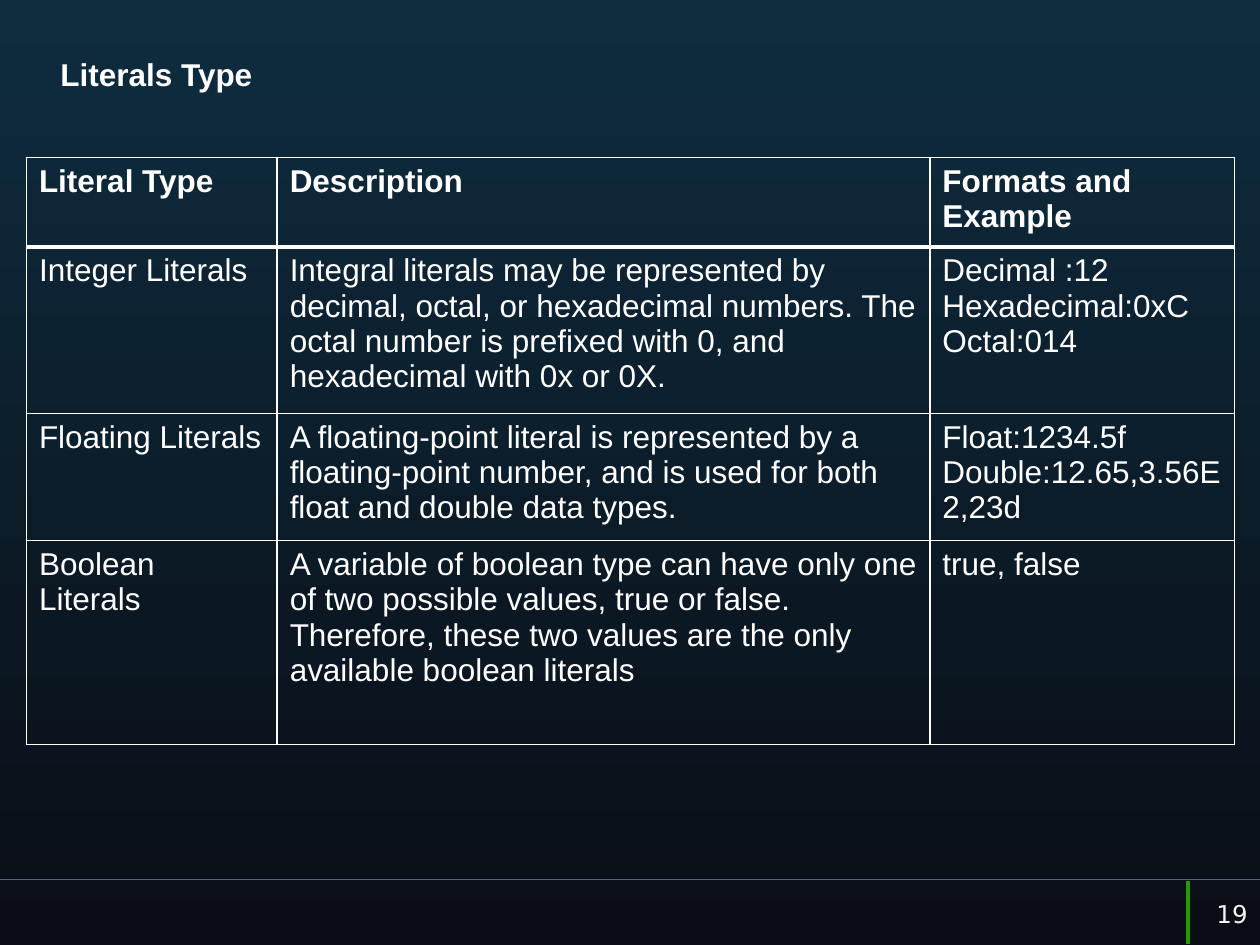
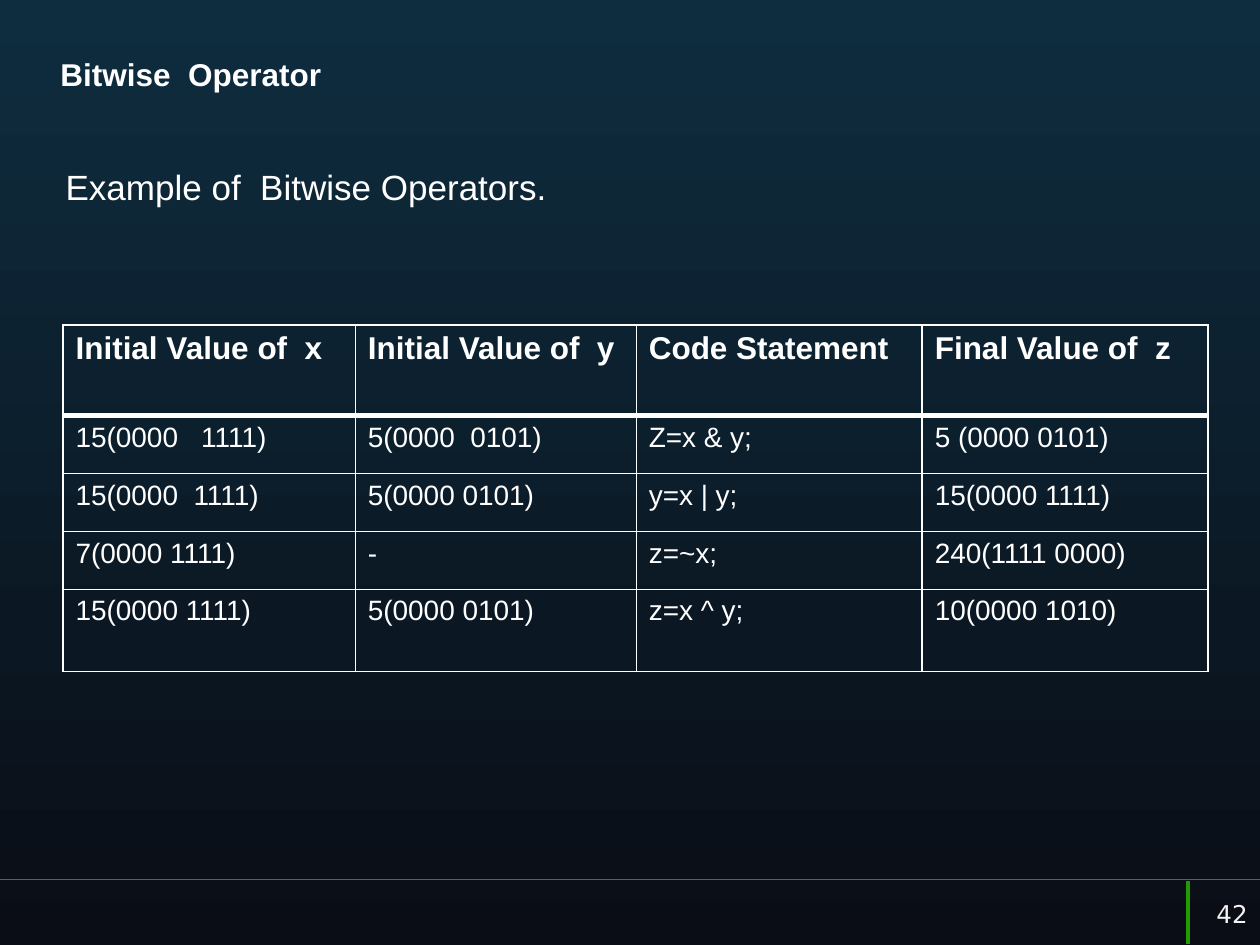
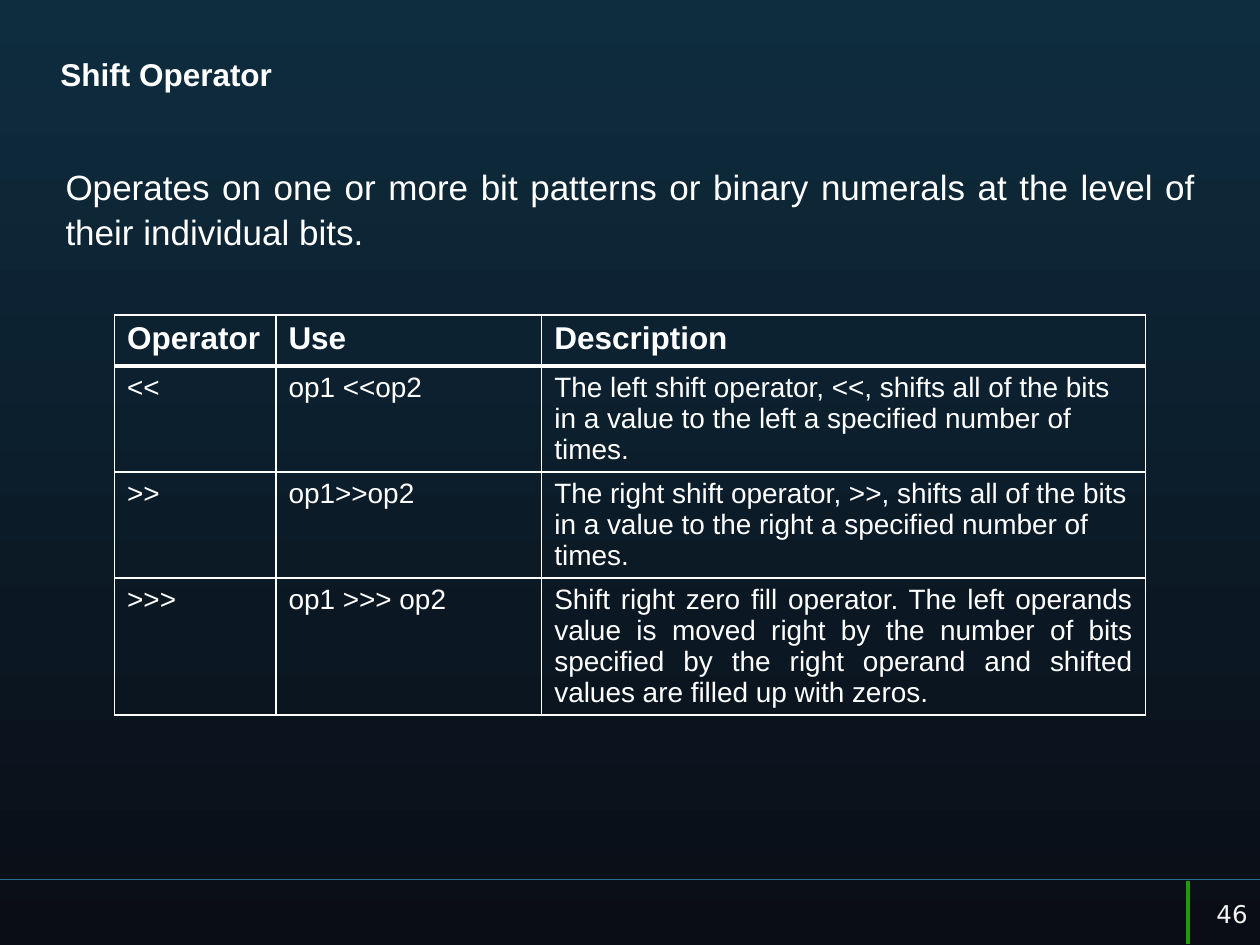
from dataclasses import dataclass

from lxml import etree
from pptx import Presentation
from pptx import util as u
from pptx.dml.color import RGBColor
from pptx.enum import shapes, text
from pptx.oxml import ns


@dataclass(frozen=True)
class Theme:
    white: str = "FFFFFF"
    number: str = "F2F2F2"
    top: str = "0E2D3F"
    bottom: str = "0A0D16"
    rule: str = "287094"
    marker: str = "209D03"
    font: str = "Arial"
    number_font: str = "DejaVu Sans"
    title_size: int = 18
    body_size: int = 20
    number_size: int = 14
    thin: int = 1
    thick: int = 3


theme = Theme()
deck = Presentation()
deck.slide_width, deck.slide_height = u.Inches(10), u.Inches(7.5)


def place(left, top, width, height):
    across, down = deck.slide_width / 100, deck.slide_height / 100
    return [u.Emu(round(share * side)) for share, side in
            ((left, across), (top, down), (width, across), (height, down))]


def write(frame, words, size, bold=False, align=text.PP_ALIGN.LEFT,
          color=theme.white, font=theme.font):
    frame.text = words
    frame.word_wrap = True
    for para in frame.paragraphs:
        para.alignment = align
        for span in para.runs:
            span.font.name, span.font.size, span.font.bold = font, u.Pt(size), bold
            span.font.color.rgb = RGBColor.from_string(color)


pages = [
    dict(
        title="Literals Type", number="19", body=None,
        left=2.1, top=16.67, cell_size=18,
        columns=[19.9, 51.8, 24.2], rows=[9.47, 17.6, 13.47, 21.6],
        cells=[
            ["Literal Type", "Description", "Formats and Example"],
            ["Integer Literals",
             "Integral literals may be represented by decimal, octal, or hexadecimal "
             "numbers. The octal number is prefixed with 0, and hexadecimal with 0x or 0X.",
             "Decimal :12\nHexadecimal:0xC\nOctal:014"],
            ["Floating Literals",
             "A floating-point literal is represented by a floating-point number, and is "
             "used for both float and double data types.",
             "Float:1234.5f\nDouble:12.65,3.56E2,23d"],
            ["Boolean Literals",
             "A variable of boolean type can have only one of two possible values, true or "
             "false. Therefore, these two values are the only available boolean literals",
             "true, false"],
        ]),
    dict(
        title="Bitwise  Operator", number="42", body="Example of  Bitwise Operators.",
        left=5, top=34.4, cell_size=16,
        columns=[23.2, 22.3, 22.7, 22.7], rows=[9.6, 6.13, 6.13, 6.13, 8.67],
        cells=[
            ["Initial Value of  x", "Initial Value of  y", "Code Statement", "Final Value of  z"],
            ["15(0000   1111)", "5(0000  0101)", "Z=x & y;", "5 (0000 0101)"],
            ["15(0000  1111)", "5(0000 0101)", "y=x | y;", "15(0000 1111)"],
            ["7(0000 1111)", "-", "z=~x;", "240(1111 0000)"],
            ["15(0000 1111)", "5(0000 0101)", "z=x ^ y;", "10(0000 1010)"],
        ]),
    dict(
        title="Shift Operator", number="46",
        body="Operates on one or more bit patterns or binary numerals at the level of "
             "their individual bits.",
        left=9.1, top=33.33, cell_size=16,
        columns=[12.8, 21.1, 47.9], rows=[5.4, 11.2, 11.2, 14.53],
        cells=[
            ["Operator", "Use", "Description"],
            ["<<", "op1 <<op2",
             "The left shift operator, <<, shifts all of the bits in a value to the left "
             "a specified number of times."],
            [">>", "op1>>op2",
             "The right shift operator, >>, shifts all of the bits in a value to the right "
             "a specified number of times."],
            [">>>", "op1 >>> op2",
             "Shift right zero fill operator. The left operands value is moved right by the "
             "number of bits specified by the right operand and shifted values are filled up "
             "with zeros."],
        ]),
]

master = deck.slide_master
backdrop = master.background.fill
backdrop.gradient()
backdrop.gradient_angle = 270
for stop, color, position in zip(backdrop.gradient_stops, (theme.top, theme.bottom), (0, 1)):
    stop.color.rgb = RGBColor.from_string(color)
    stop.position = position

for page in pages:
    slide = deck.slides.add_slide(deck.slide_layouts[1 if page["body"] else 5])

    if page is pages[0]:
        for area, color, weight in (((0, 93.07, 100, 0), theme.rule, 0.75),
                                    ((94.3, 93.2, 0, 6.67), theme.marker, 2)):
            left, top, width, height = place(*area)
            rule = slide.shapes.add_connector(
                shapes.MSO_CONNECTOR.STRAIGHT, left, top, left + width, top + height)
            rule.line.color.rgb = RGBColor.from_string(color)
            rule.line.width = u.Pt(weight)
            etree.SubElement(rule.element.spPr, ns.qn("a:effectLst"))
            master.shapes.element.append(rule.element)

    title = slide.shapes.title
    title.left, title.top, title.width, title.height = place(3.8, 5.2, 91.8, 8.8)
    write(title.text_frame, page["title"], theme.title_size, bold=True)
    title.text_frame.vertical_anchor = text.MSO_ANCHOR.TOP
    title.text_frame.auto_size = text.MSO_AUTO_SIZE.NONE

    if page["body"]:
        body = slide.placeholders[1]
        body.left, body.top, body.width, body.height = place(4.2, 16.53, 91.7, 67.47)
        write(body.text_frame, page["body"], theme.body_size, align=text.PP_ALIGN.JUSTIFY)
        body.text_frame.auto_size = text.MSO_AUTO_SIZE.NONE
        para = body.text_frame.paragraphs[0]
        para.space_before = u.Pt(0)
        para.line_spacing = 1.07
        settings = para._p.get_or_add_pPr()
        settings.set("marL", "0")
        settings.set("indent", "0")
        etree.SubElement(settings, ns.qn("a:buNone"))

    columns, rows = page["columns"], page["rows"]
    table = slide.shapes.add_table(
        len(rows), len(columns),
        *place(page["left"], page["top"], sum(columns), sum(rows))).table
    table.first_row = table.horz_banding = False
    for column, share in zip(table.columns, columns):
        column.width = place(0, 0, share, 0)[2]
    for index, (row, share) in enumerate(zip(table.rows, rows)):
        row.height = place(0, 0, 0, share)[3]
        header = index == 0
        for cell, words in zip(row.cells, page["cells"][index]):
            justified = words.startswith("Shift right")
            write(cell.text_frame, words,
                  theme.title_size if header else page["cell_size"], bold=header,
                  align=text.PP_ALIGN.JUSTIFY if justified else text.PP_ALIGN.LEFT)
            cell.fill.background()
            edges = dict(lnL=theme.thin, lnR=theme.thin,
                         lnT=theme.thick if index == 1 else theme.thin,
                         lnB=theme.thick if header else theme.thin)
            for order, (edge, weight) in enumerate(edges.items()):
                border = etree.Element(ns.qn(f"a:{edge}"), w=str(u.Pt(weight)))
                paint = etree.SubElement(border, ns.qn("a:solidFill"))
                etree.SubElement(paint, ns.qn("a:srgbClr"), val=theme.white)
                cell._tc.tcPr.insert(order, border)

    number = slide.shapes.add_textbox(*place(94.2, 93.33, 5.8, 6.67))
    write(number.text_frame, page["number"], theme.number_size, align=text.PP_ALIGN.RIGHT,
          color=theme.number, font=theme.number_font)
    number.text_frame.vertical_anchor = text.MSO_ANCHOR.MIDDLE

deck.save("out.pptx")
